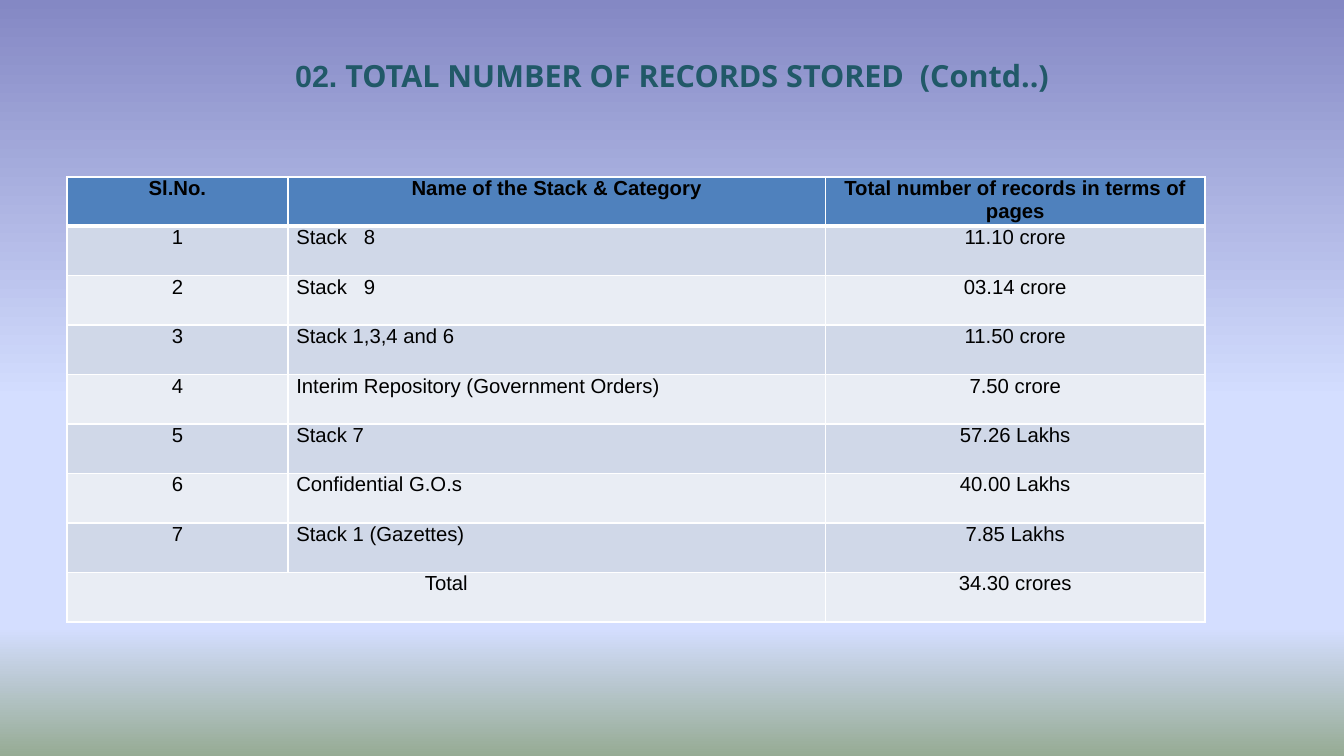
import pptx
import pptx.dml.color
import pptx.enum.text
import pptx.oxml
import pptx.oxml.ns
import pptx.util
from lxml import etree

Inches = pptx.util.Inches
Pt = pptx.util.Pt
RGBColor = pptx.dml.color.RGBColor
ALIGN = pptx.enum.text.PP_ALIGN
qn = pptx.oxml.ns.qn

TEAL = RGBColor(0x21, 0x59, 0x68)
BLACK = RGBColor(0x00, 0x00, 0x00)
WHITE = RGBColor(0xFF, 0xFF, 0xFF)
HEADER_BLUE = RGBColor(0x4F, 0x81, 0xBD)
BAND_DARK = RGBColor(0xD0, 0xD8, 0xE8)
BAND_LIGHT = RGBColor(0xE9, 0xED, 0xF4)
SKY_TOP = RGBColor(0x84, 0x88, 0xC4)
SKY_PALE = RGBColor(0xD4, 0xDE, 0xFF)
GROUND = RGBColor(0x96, 0xAB, 0x94)

BACKGROUND_STOPS = [(0, SKY_TOP), (53, SKY_PALE), (83, SKY_PALE), (100, GROUND)]
TITLE_PARTS = [("02.", "Arial"), (" TOTAL NUMBER OF RECORDS STORED  (Contd..)", "Noto Sans")]
COLUMN_WIDTHS = [1.81, 4.41, 3.11]
ROWS = [
    ("Sl.No.", "Name of the Stack & Category", "Total number of records in terms of pages"),
    ("1", "Stack   8", "11.10 crore"),
    ("2", "Stack   9", "03.14 crore"),
    ("3", "Stack 1,3,4 and 6", "11.50 crore"),
    ("4", "Interim Repository (Government Orders)", "7.50 crore"),
    ("5", "Stack 7", "57.26 Lakhs"),
    ("6", "Confidential G.O.s", "40.00 Lakhs"),
    ("7", "Stack 1 (Gazettes)", "7.85 Lakhs"),
    ("Total", "", "34.30 crores"),
]
TOTAL_ROW = len(ROWS) - 1


def add_color(parent, color):
    etree.SubElement(parent, qn("a:srgbClr"), val=str(color))


def add_border(cell, side, points):
    line = etree.SubElement(cell._tc.get_or_add_tcPr(), qn("a:" + side), w=str(Pt(points)))
    add_color(etree.SubElement(line, qn("a:solidFill")), WHITE)


deck = pptx.Presentation()
deck.slide_width = Inches(11.02)
deck.slide_height = Inches(6.2)
slide = deck.slides.add_slide(deck.slide_layouts[6])

background = slide.background.fill
background.gradient()
background.gradient_angle = 270
stop_list = slide.element.find(".//" + qn("a:gsLst"))
for stop in list(stop_list):
    stop_list.remove(stop)
for percent, color in BACKGROUND_STOPS:
    add_color(etree.SubElement(stop_list, qn("a:gs"), pos=str(percent * 1000)), color)

title_box = slide.shapes.add_textbox(Inches(0.55), Inches(0.25), Inches(9.92), Inches(1.04))
title_frame = title_box.text_frame
title_frame.word_wrap = True
title_frame.vertical_anchor = pptx.enum.text.MSO_ANCHOR.MIDDLE
title_frame.margin_left = title_frame.margin_right = title_frame.margin_top = 0
title_frame.margin_bottom = Inches(0.3)
title_para = title_frame.paragraphs[0]
title_para.alignment = ALIGN.CENTER
for text, font_name in TITLE_PARTS:
    span = title_para.add_run()
    span.text = text
    span.font.name = font_name
    span.font.size = Pt(18)
    span.font.bold = True
    span.font.color.rgb = TEAL

table = slide.shapes.add_table(
    len(ROWS), len(COLUMN_WIDTHS), Inches(0.55), Inches(1.45), Inches(9.33), Inches(3.65)
).table
for column, width in zip(table.columns, COLUMN_WIDTHS):
    column.width = Inches(width)

for row_index, texts in enumerate(ROWS):
    is_header = row_index == 0
    if is_header:
        fill_color = HEADER_BLUE
    else:
        fill_color = BAND_DARK if row_index % 2 else BAND_LIGHT
    for column_index, text in enumerate(texts):
        cell = table.cell(row_index, column_index)
        cell.margin_left = cell.margin_right = Inches(0.07)
        cell.margin_top = cell.margin_bottom = 0
        add_border(cell, "lnL", 1)
        add_border(cell, "lnR", 1)
        add_border(cell, "lnT", 3 if row_index == 1 else 1)
        add_border(cell, "lnB", 3 if is_header else 1)
        cell.fill.solid()
        cell.fill.fore_color.rgb = fill_color
        para = cell.text_frame.paragraphs[0]
        para.text = text
        is_name = column_index == 1 and not is_header
        para.alignment = ALIGN.JUSTIFY if is_name else ALIGN.CENTER
        para.font.size = Pt(12)
        for span in para.runs:
            span.font.name = "Arial"
            span.font.size = Pt(12)
            span.font.bold = is_header
            span.font.color.rgb = BLACK

table.cell(TOTAL_ROW, 0).merge(table.cell(TOTAL_ROW, 1))

deck.save("out.pptx")
